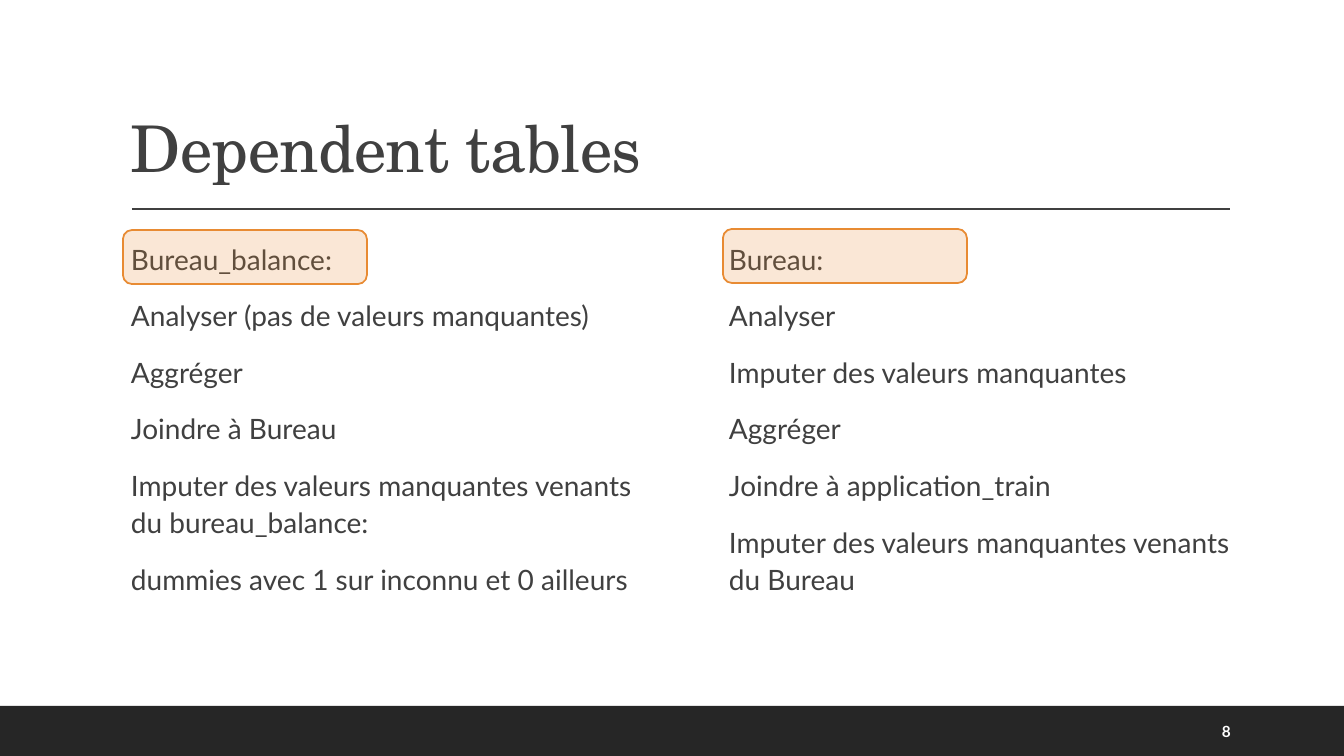
from lxml.etree import SubElement
from pptx import Presentation
from pptx.dml.color import RGBColor
from pptx.enum.shapes import MSO_CONNECTOR, MSO_SHAPE
from pptx.enum.text import MSO_ANCHOR
from pptx.oxml.ns import qn
from pptx.util import Pt

EMU_PER_PX = 12192000 / 1344
SLIDE_SIZE = (1344, 756)

INK = RGBColor(0x40, 0x40, 0x40)
FOOTER_DARK = RGBColor(0x26, 0x26, 0x26)
ORANGE = RGBColor(0xE8, 0x8B, 0x33)
WHITE = RGBColor(0xFF, 0xFF, 0xFF)

TITLE_FONT = "TeX Gyre Schola"
BODY_FONT = "Lato"

COLUMN_TOP, COLUMN_WIDTH, COLUMN_HEIGHT = 234, 511, 413
# Left edge, offset of the heading highlight, lines
COLUMNS = [
    (121, (2, -4), [
        "Bureau_balance:",
        "Analyser (pas de valeurs manquantes)",
        "Aggréger",
        "Joindre à Bureau",
        "Imputer des valeurs manquantes venants du bureau_balance:",
        "dummies avec 1 sur inconnu et 0 ailleurs",
    ]),
    (719, (4, -5), [
        "Bureau:",
        "Analyser",
        "Imputer des valeurs manquantes",
        "Aggréger",
        "Joindre à application_train",
        "Imputer des valeurs manquantes venants du Bureau",
    ]),
]


def px(*lengths):
    return [round(length * EMU_PER_PX) for length in lengths]


def add_text(slide, box, lines, font, size, color, anchor=MSO_ANCHOR.TOP,
             side_insets=(10, 10), bold=False):
    frame = slide.shapes.add_textbox(*px(*box)).text_frame
    frame.word_wrap = True
    frame.vertical_anchor = anchor
    frame.margin_left, frame.margin_right = px(*side_insets)
    frame.margin_top, frame.margin_bottom = px(5, 5)
    frame.text = "\n".join(lines)
    for paragraph in frame.paragraphs:
        for run in paragraph.runs:
            run.font.name = font
            run.font.size = Pt(size)
            run.font.bold = bold
            run.font.color.rgb = color
    return frame


def add_header(slide, box):
    """Place the title in the box and the rule below it."""
    left, top, width, height = box
    title = add_text(slide, box, ["Dependent tables"], TITLE_FONT, 46, INK,
                     MSO_ANCHOR.BOTTOM).paragraphs[0]
    title.line_spacing = 0.9
    title.runs[0].font._element.set("spc", "-50")

    rule_y = top + height + 18
    rule = slide.shapes.add_connector(
        MSO_CONNECTOR.STRAIGHT,
        *px(left + 11, rule_y, left + width, rule_y))
    rule.line.color.rgb = INK
    rule.line.width = Pt(1)
    SubElement(rule._element.spPr, qn("a:effectLst"))


def add_column(slide, box, lines):
    frame = add_text(slide, box, lines, BODY_FONT, 20, INK,
                     side_insets=(10, 0))
    for paragraph in frame.paragraphs:
        paragraph.line_spacing = 1.1
        paragraph.space_before = Pt(12)
        paragraph.space_after = Pt(2)


def add_highlight(slide, box):
    """Lay a translucent rounded rectangle over a column heading."""
    highlight = slide.shapes.add_shape(MSO_SHAPE.ROUNDED_RECTANGLE, *px(*box))
    highlight.shadow.inherit = False
    highlight.fill.solid()
    highlight.fill.fore_color.rgb = ORANGE
    fill_color = highlight._element.spPr.find(qn("a:solidFill"))[0]
    SubElement(fill_color, qn("a:alpha"), val="20000")
    highlight.line.color.rgb = ORANGE
    highlight.line.width = Pt(1.25)


def add_footer(slide, box):
    """Draw the dark band with the page number at its right."""
    left, top, width, height = box
    band = slide.shapes.add_shape(MSO_SHAPE.RECTANGLE, *px(*box))
    band.shadow.inherit = False
    band.fill.solid()
    band.fill.fore_color.rgb = FOOTER_DARK
    band.line.fill.background()
    add_text(slide, (left + width - 132, top + 5, 86, height - 10), ["8"],
             BODY_FONT, 11, WHITE, MSO_ANCHOR.MIDDLE, bold=True)


def main():
    presentation = Presentation()
    presentation.slide_width, presentation.slide_height = px(*SLIDE_SIZE)
    slide = presentation.slides.add_slide(presentation.slide_layouts[6])

    add_footer(slide, (0, 706, 1344, 50))
    add_header(slide, (121, 31, 1109, 160))
    for left, (dx, dy), lines in COLUMNS:
        add_column(slide, (left, COLUMN_TOP, COLUMN_WIDTH, COLUMN_HEIGHT),
                   lines)
        add_highlight(slide, (left + dx, COLUMN_TOP + dy, 244, 54))

    presentation.save("out.pptx")


if __name__ == "__main__":
    main()
